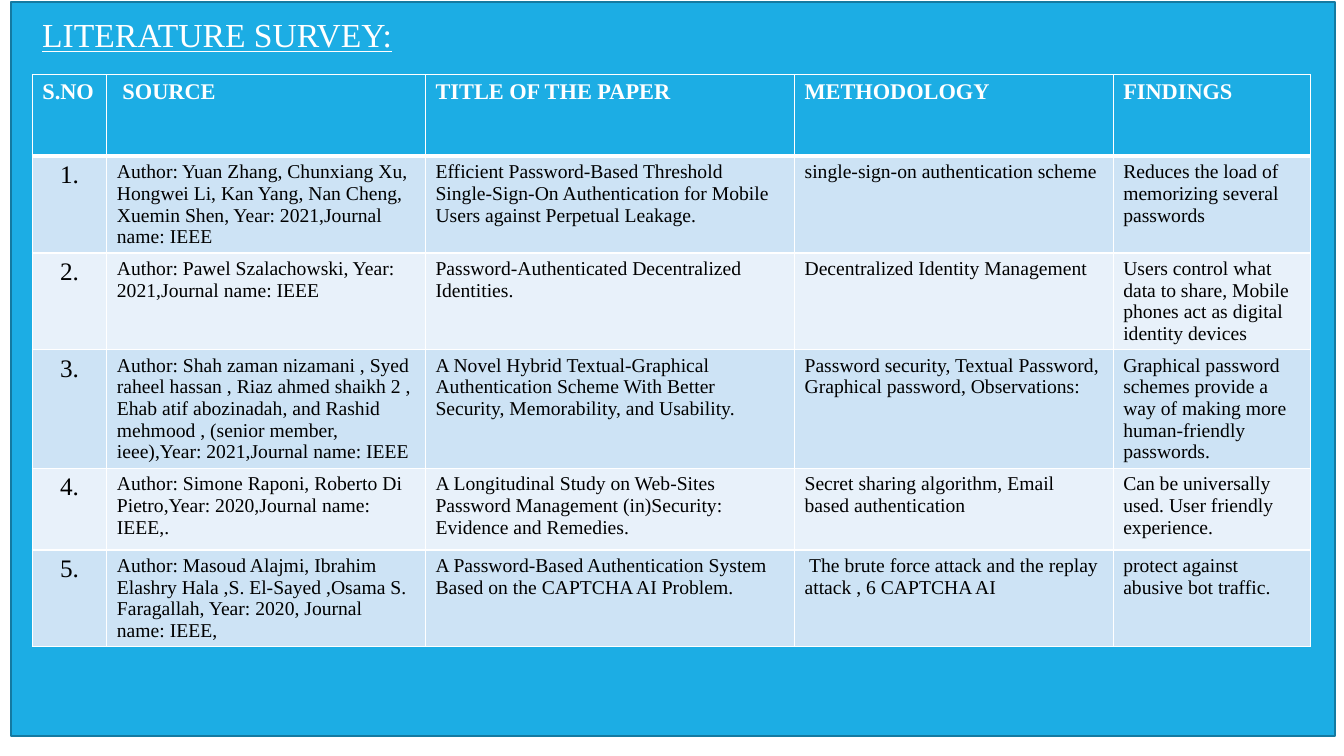
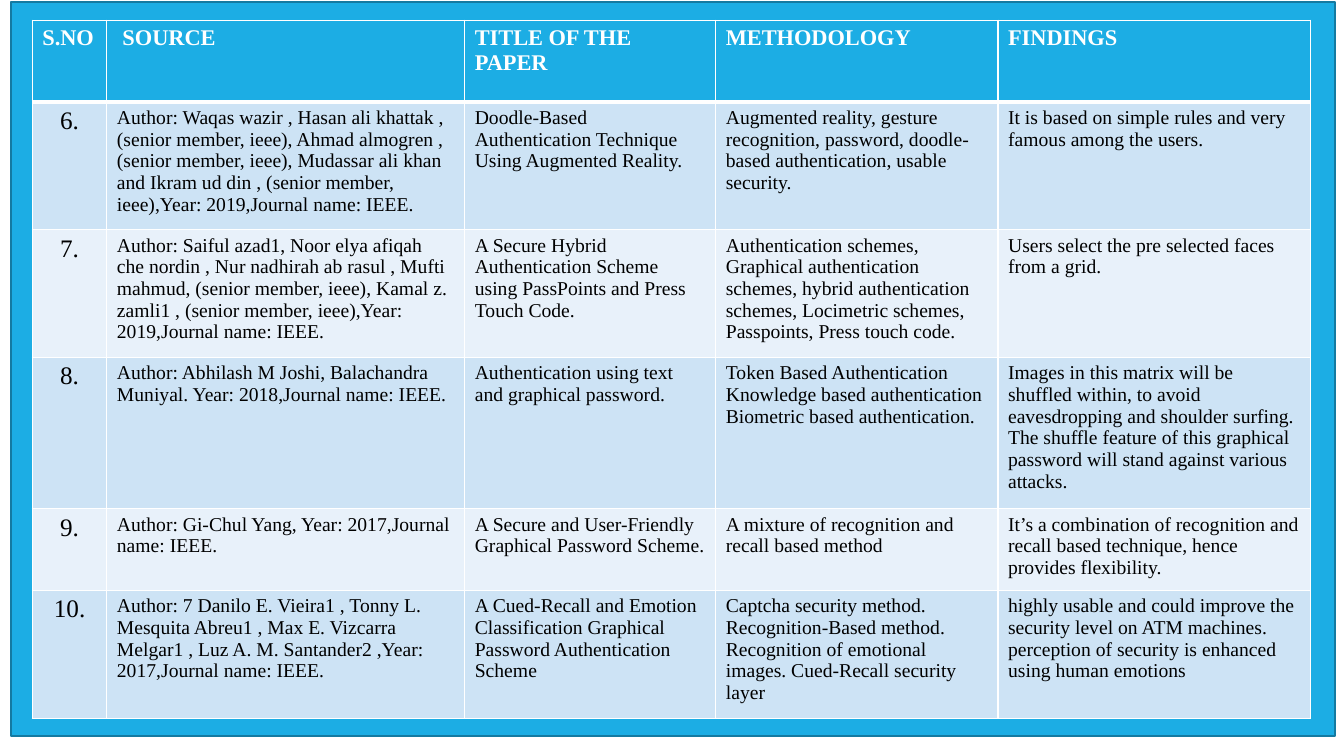
from dataclasses import dataclass

from lxml import etree
from pptx import Presentation
from pptx import util as u
from pptx.dml.color import RGBColor
from pptx.enum import shapes, text
from pptx.oxml import ns


@dataclass(frozen=True)
class Theme:
    font: str = "Times New Roman"
    panel: str = "1CADE4"
    panel_edge: str = "147AA1"
    light: str = "FFFFFF"
    dark: str = "000000"
    bands: tuple = ("CDE3F5", "E8F1FA")
    title_size: float = 24
    header_size: float = 16
    number_size: float = 18
    body_size: float = 14
    edge_width: float = 1.25
    rule_width: float = 1
    header_rule_width: float = 3


class Deck:
    """Holds the style and the current slide; lengths are percent of the slide."""

    def __init__(self, theme):
        self.theme = theme
        self.prs = Presentation()
        self.prs.slide_width = u.Inches(13.33)
        self.prs.slide_height = u.Inches(7.5)
        self.slide = None

    def x(self, percent):
        return round(self.prs.slide_width * percent / 100)

    def y(self, percent):
        return round(self.prs.slide_height * percent / 100)

    def box(self, left, top, width, height):
        return self.x(left), self.y(top), self.x(width), self.y(height)

    def new_slide(self):
        self.slide = self.prs.slides.add_slide(self.prs.slide_layouts[6])
        self.panel()

    def panel(self):
        panel = self.slide.shapes.add_shape(
            shapes.MSO_SHAPE.RECTANGLE, *self.box(0.82, 0.27, 98.5, 97.07))
        panel.shadow.inherit = False
        panel.fill.solid()
        panel.fill.fore_color.rgb = RGBColor.from_string(self.theme.panel)
        panel.line.color.rgb = RGBColor.from_string(self.theme.panel_edge)
        panel.line.width = u.Pt(self.theme.edge_width)

    def put_text(self, frame, words, size, color, align=text.PP_ALIGN.LEFT, **style):
        paragraph = frame.paragraphs[0]
        paragraph.alignment = align
        run = paragraph.add_run()
        run.text = words
        run.font.color.rgb = RGBColor.from_string(color)
        look = {"name": self.theme.font, "size": u.Pt(size), **style}
        for attribute, value in look.items():
            setattr(run.font, attribute, value)

    def title(self, words):
        heading = self.slide.shapes.add_textbox(*self.box(2.4, 1.2, 28.9, 6.67))
        heading.text_frame.word_wrap = True
        self.put_text(heading.text_frame, words, self.theme.title_size,
                      self.theme.light, underline=True)

    def borders(self, cell, top, bottom):
        """Draw the four cell borders; they must precede the fill in the XML."""
        rule = self.theme.rule_width
        widths = {"a:lnL": rule, "a:lnR": rule, "a:lnT": top, "a:lnB": bottom}
        properties = cell._tc.get_or_add_tcPr()
        for position, (tag, width) in enumerate(widths.items()):
            line = etree.Element(ns.qn(tag), w=str(u.Pt(width)))
            fill = etree.SubElement(line, ns.qn("a:solidFill"))
            etree.SubElement(fill, ns.qn("a:srgbClr"), val=self.theme.light)
            properties.insert(position, line)

    def survey(self, top, columns, rows, header, papers, first_number):
        """Add a table of papers, numbered in order below the header."""
        theme = self.theme
        table = self.slide.shapes.add_table(
            len(rows), len(columns),
            *self.box(2.4, top, sum(columns), sum(rows))).table
        for column, width in zip(table.columns, columns):
            column.width = self.x(width)
        for row, height in zip(table.rows, rows):
            row.height = self.y(height)

        numbered = [(f"{number}.", *paper)
                    for number, paper in enumerate(papers, first_number)]
        for r, entries in enumerate([header, *numbered]):
            above = theme.header_rule_width if r == 1 else theme.rule_width
            below = theme.header_rule_width if r == 0 else theme.rule_width
            for c, words in enumerate(entries):
                cell = table.cell(r, c)
                cell.fill.solid()
                shade = theme.bands[(r - 1) % 2] if r else theme.panel
                cell.fill.fore_color.rgb = RGBColor.from_string(shade)
                self.borders(cell, above, below)
                if r == 0:
                    style = {"size": theme.header_size, "color": theme.light,
                             "bold": True}
                elif c == 0:
                    style = {"size": theme.number_size, "color": theme.dark,
                             "bold": False, "align": text.PP_ALIGN.CENTER}
                else:
                    style = {"size": theme.body_size, "color": theme.dark,
                             "bold": False}
                self.put_text(cell.text_frame, words, **style)


HEADER = ("S.NO", " SOURCE", "TITLE OF THE PAPER", "METHODOLOGY", "FINDINGS")

RECENT_PAPERS = [
    ("Author: Yuan Zhang, Chunxiang Xu, Hongwei Li, Kan Yang, Nan Cheng, "
     "Xuemin Shen, Year: 2021,Journal name: IEEE",
     "Efficient Password-Based Threshold Single-Sign-On Authentication for "
     "Mobile Users against Perpetual Leakage.",
     "single-sign-on authentication scheme",
     "Reduces the load of memorizing several passwords"),
    ("Author: Pawel Szalachowski, Year: 2021,Journal name: IEEE",
     "Password-Authenticated Decentralized Identities.",
     "Decentralized Identity Management",
     "Users control what data to share, Mobile phones act as digital "
     "identity devices"),
    ("Author: Shah zaman nizamani , Syed raheel hassan , Riaz ahmed shaikh 2 , "
     "Ehab atif abozinadah, and Rashid mehmood , (senior member, ieee),"
     "Year: 2021,Journal name: IEEE",
     "A Novel Hybrid Textual-Graphical Authentication Scheme With Better "
     "Security, Memorability, and Usability.",
     "Password security, Textual Password, Graphical password, Observations:",
     "Graphical password schemes provide a way of making more "
     "human-friendly passwords."),
    ("Author: Simone Raponi, Roberto Di Pietro,Year: 2020,Journal name: IEEE,.",
     "A Longitudinal Study on Web-Sites Password Management (in)Security: "
     "Evidence and Remedies.",
     "Secret sharing algorithm, Email based authentication",
     "Can be universally used. User friendly experience."),
    ("Author: Masoud Alajmi, Ibrahim Elashry Hala ,S. El-Sayed ,"
     "Osama S. Faragallah, Year: 2020, Journal name: IEEE,",
     "A Password-Based Authentication System Based on the CAPTCHA AI Problem.",
     " The brute force attack and the replay attack , 6 CAPTCHA AI",
     "protect against abusive bot traffic."),
]

EARLIER_PAPERS = [
    ("Author: Waqas wazir , Hasan ali khattak , (senior member, ieee), "
     "Ahmad almogren , (senior member, ieee), Mudassar ali khan and "
     "Ikram ud din , (senior member, ieee),Year: 2019,Journal name: IEEE.",
     "Doodle-Based Authentication Technique Using Augmented Reality.",
     "Augmented reality, gesture recognition, password, doodle-based "
     "authentication, usable security.",
     "It is based on simple rules and very famous among the users."),
    ("Author: Saiful azad1, Noor elya afiqah che nordin , Nur nadhirah ab rasul , "
     "Mufti mahmud, (senior member, ieee), Kamal z. zamli1 , "
     "(senior member, ieee),Year: 2019,Journal name: IEEE.",
     "A Secure Hybrid Authentication Scheme using PassPoints and Press Touch Code.",
     "Authentication schemes, Graphical authentication schemes, hybrid "
     "authentication schemes, Locimetric schemes, Passpoints, Press touch code.",
     "Users select the pre selected faces from a grid."),
    ("Author: Abhilash M Joshi, Balachandra Muniyal. Year: 2018,"
     "Journal name: IEEE.",
     "Authentication using text and graphical password.",
     "Token Based Authentication Knowledge based authentication Biometric "
     "based authentication.",
     "Images in this matrix will be shuffled within, to avoid eavesdropping "
     "and shoulder surfing. The shuffle feature of this graphical password "
     "will stand against various attacks."),
    ("Author: Gi-Chul Yang, Year: 2017,Journal name: IEEE.",
     "A Secure and User-Friendly Graphical Password Scheme.",
     "A mixture of recognition and recall based method",
     "It’s a combination of recognition and recall based technique, hence "
     "provides flexibility."),
    ("Author: 7 Danilo E. Vieira1 , Tonny L. Mesquita Abreu1 , "
     "Max E. Vizcarra Melgar1 , Luz A. M. Santander2 ,Year: 2017,"
     "Journal name: IEEE.",
     "A Cued-Recall and Emotion Classification Graphical Password "
     "Authentication Scheme",
     "Captcha security method. Recognition-Based method. Recognition of "
     "emotional images. Cued-Recall security layer",
     "highly usable and could improve the security level on ATM machines. "
     "perception of security is enhanced using human emotions"),
]


def main():
    deck = Deck(Theme())

    deck.new_slide()
    deck.survey(top=9.87, columns=(5.55, 23.71, 27.46, 23.71, 14.7),
                rows=(10.8, 12.8, 12.8, 15.6, 10.8, 12.8),
                header=HEADER, papers=RECENT_PAPERS, first_number=1)
    deck.title("LITERATURE SURVEY:")

    deck.new_slide()
    deck.survey(top=2.67, columns=(5.55, 26.63, 18.68, 21, 23.26),
                rows=(10.8, 16.9, 16.9, 19.9, 10.8, 16.9),
                header=HEADER, papers=EARLIER_PAPERS,
                first_number=len(RECENT_PAPERS) + 1)

    deck.prs.save("out.pptx")


if __name__ == "__main__":
    main()
